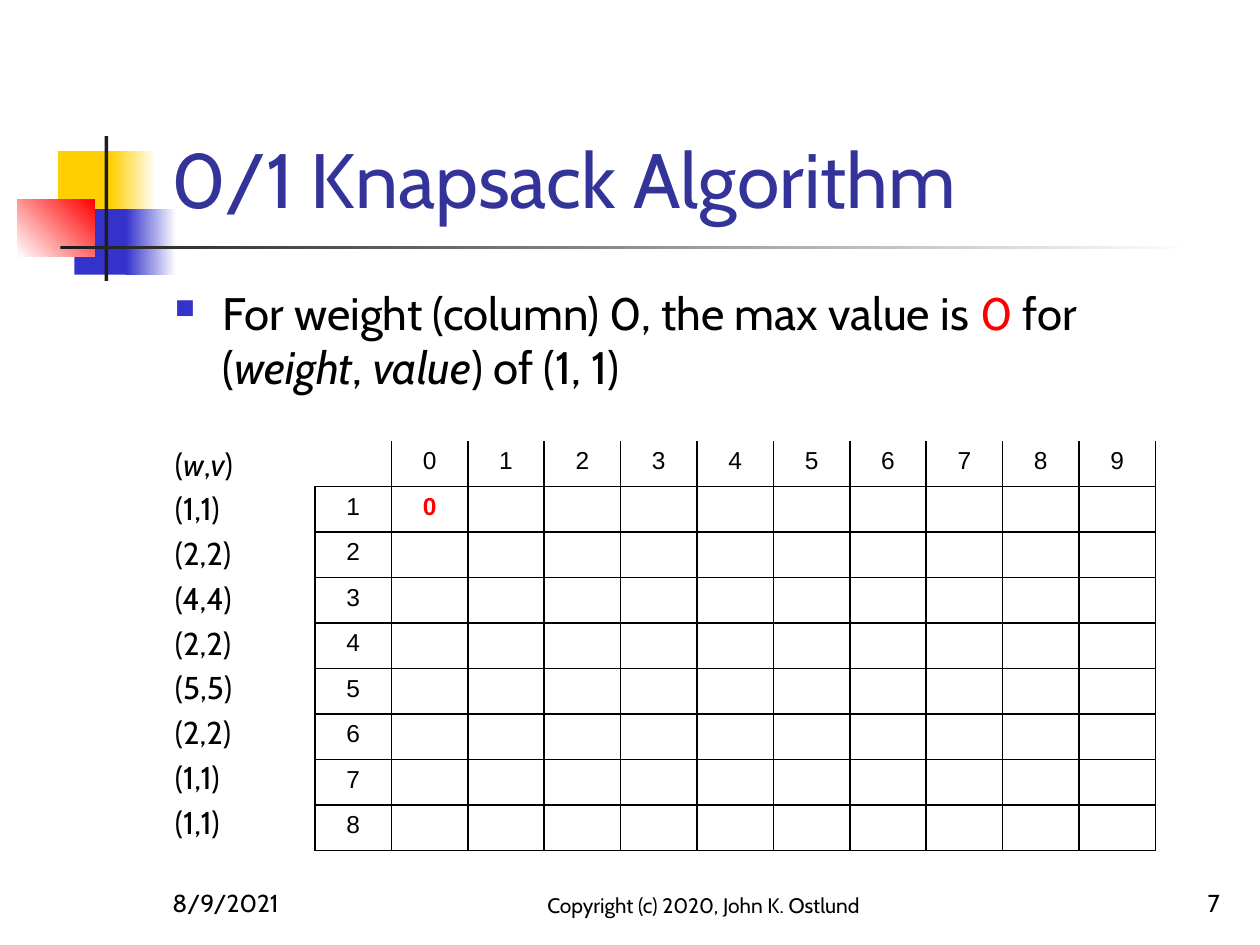
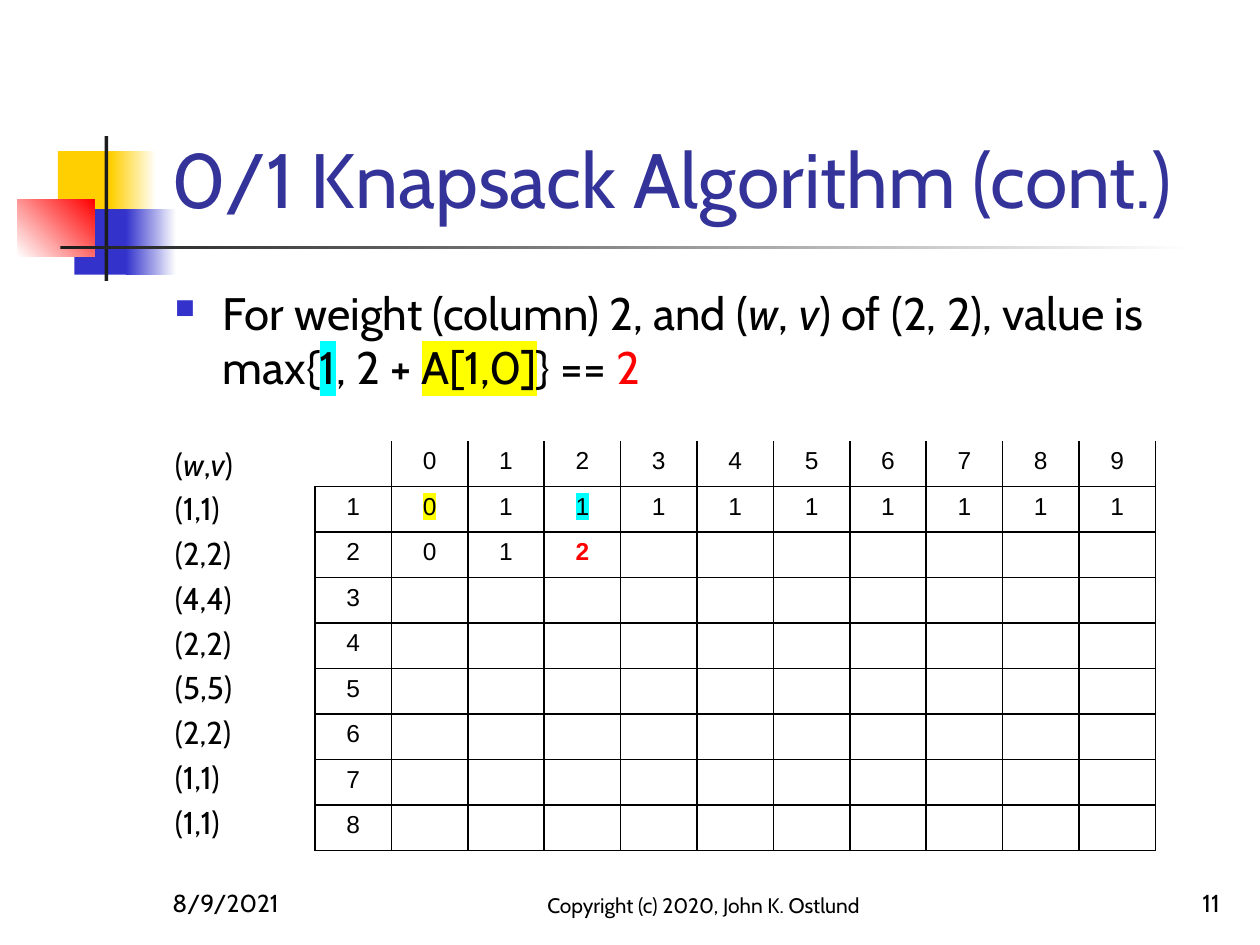
from dataclasses import dataclass

import lxml.etree
import pptx
import pptx.dml.color
import pptx.dml.fill
import pptx.enum.shapes
import pptx.enum.text
import pptx.oxml.ns
import pptx.shapes.autoshape
import pptx.slide
import pptx.table
import pptx.text.text
import pptx.util

SLIDE_WIDTH = pptx.util.Inches(10)
SLIDE_HEIGHT = pptx.util.Inches(7.5)
ALIGN = pptx.enum.text.PP_ALIGN
ANCHOR = pptx.enum.text.MSO_ANCHOR


@dataclass(frozen=True)
class Theme:
    text_font: str = "Cabin"
    table_font: str = "Arial"
    title_size: int = 44
    statement_size: int = 26
    item_size: int = 18
    small_size: int = 14
    copyright_size: int = 12
    title: str = "333399"
    ink: str = "000000"
    paper: str = "FFFFFF"
    rule: str = "1C1C1C"
    yellow: str = "FFCF01"
    blue: str = "3333CC"
    red: str = "FF0000"
    mark_yellow: str = "FFFF00"
    mark_cyan: str = "00FFFF"


THEME = Theme()


@dataclass(frozen=True)
class Area:
    """Left, top, width and height in percent of the slide."""
    left: float
    top: float
    width: float
    height: float

    def emu(self) -> tuple[int, int, int, int]:
        return (round(SLIDE_WIDTH * self.left / 100), round(SLIDE_HEIGHT * self.top / 100),
                round(SLIDE_WIDTH * self.width / 100), round(SLIDE_HEIGHT * self.height / 100))


@dataclass(frozen=True)
class Block:
    area: Area
    start: str
    end: str | None = None
    angle: int = 0


@dataclass(frozen=True)
class Span:
    text: str
    italic: bool = False
    bold: bool = False
    color: str | None = None
    mark: str | None = None


@dataclass(frozen=True)
class Footer:
    area: Area
    size: int
    align: ALIGN


@dataclass(frozen=True)
class Step:
    title: str
    number: str
    statement: list[Span]
    values: list[list[Span]]


ORNAMENT = [
    Block(Area(4.6, 16, 4.8, 6.93), THEME.yellow),
    Block(Area(8.8, 16, 3.6, 6.93), THEME.yellow, THEME.paper),
    Block(Area(5.9, 22.13, 4.6, 6.93), THEME.blue),
    Block(Area(10, 22.13, 4, 6.93), THEME.blue, THEME.paper),
    Block(Area(1.4, 21.07, 6.1, 6.13), THEME.paper, THEME.red, 45),
    Block(Area(8.3, 14.4, 0.3, 15.33), THEME.rule),
    Block(Area(4.8, 26, 90, 0.4), THEME.rule, THEME.paper),
]
TITLE_AREA = Area(12.6, 3.07, 85.2, 21.33)
BODY_AREA = Area(12.9, 29.47, 85, 60)
TABLE_AREA = Area(25, 46.67, 66.7, 43.33)
DATE = Footer(Area(12.7, 91.07, 20.8, 6.67), THEME.small_size, ALIGN.LEFT)
COPYRIGHT = Footer(Area(40, 91.07, 31.7, 6.67), THEME.copyright_size, ALIGN.CENTER)
NUMBER = Footer(Area(77, 91.07, 20.8, 6.67), THEME.small_size, ALIGN.RIGHT)

ITEMS = [(1, 1), (2, 2), (4, 4), (2, 2), (5, 5), (2, 2), (1, 1), (1, 1)]
CAPACITIES = range(10)
ITEM_HEADING = [Span("("), Span("w", italic=True), Span(","), Span("v", italic=True), Span(")")]

STEPS = [
    Step(
        "0/1 Knapsack Algorithm", "7",
        [Span("For weight (column) 0, the max value is "), Span("0", color=THEME.red),
         Span(" for ("), Span("weight", italic=True), Span(", "),
         Span("value", italic=True), Span(") of (1, 1)")],
        [[Span("0", bold=True, color=THEME.red)]],
    ),
    Step(
        "0/1 Knapsack Algorithm (cont.)", "11",
        [Span("For weight (column) 2, and ("), Span("w", italic=True), Span(", "),
         Span("v", italic=True), Span(") of (2, 2), value is max{"),
         Span("1", mark=THEME.mark_cyan), Span(", 2 + "),
         Span("A[1,0]", mark=THEME.mark_yellow), Span("} == "), Span("2", color=THEME.red)],
        [[Span("0", mark=THEME.mark_yellow), Span("1"), Span("1", mark=THEME.mark_cyan)]
         + [Span("1")] * 7,
         [Span("0"), Span("1"), Span("2", bold=True, color=THEME.red)]],
    ),
]


def rgb(color: str) -> pptx.dml.color.RGBColor:
    return pptx.dml.color.RGBColor.from_string(color)


def add_xml(parent: lxml.etree._Element, tag: str, **attributes: str) -> lxml.etree._Element:
    return lxml.etree.SubElement(parent, pptx.oxml.ns.qn(tag), attributes)


def write(paragraph: pptx.text.text._Paragraph, spans: list[Span], size: int,
          font: str = THEME.text_font, color: str = THEME.ink) -> None:
    paragraph.font.name = font
    paragraph.font.size = pptx.util.Pt(size)
    paragraph.font.color.rgb = rgb(color)
    for span in spans:
        run = paragraph.add_run()
        run.text = span.text
        if span.italic:
            run.font.italic = True
        if span.bold:
            run.font.bold = True
        if span.color:
            run.font.color.rgb = rgb(span.color)
        if span.mark:
            highlight = add_xml(run._r.get_or_add_rPr(), "a:highlight")
            add_xml(highlight, "a:srgbClr", val=span.mark)


def add_frame(slide: pptx.slide.Slide, area: Area,
              anchor: ANCHOR = ANCHOR.TOP) -> pptx.text.text.TextFrame:
    frame = slide.shapes.add_textbox(*area.emu()).text_frame
    frame.word_wrap = True
    frame.vertical_anchor = anchor
    return frame


def draw_block(slide: pptx.slide.Slide, block: Block) -> None:
    shape = slide.shapes.add_shape(pptx.enum.shapes.MSO_SHAPE.RECTANGLE, *block.area.emu())
    shape.shadow.inherit = False
    shape.line.fill.background()
    if block.end is None:
        shape.fill.solid()
        shape.fill.fore_color.rgb = rgb(block.start)
        return
    shape.fill.gradient()
    shape.fill.gradient_angle = block.angle
    for stop, color, position in zip(shape.fill.gradient_stops, (block.start, block.end), (0, 1)):
        stop.color.rgb = rgb(color)
        stop.position = position


def draw_footer(slide: pptx.slide.Slide, footer: Footer, text: str) -> None:
    paragraph = add_frame(slide, footer.area, ANCHOR.BOTTOM).paragraphs[0]
    paragraph.alignment = footer.align
    write(paragraph, [Span(text)], footer.size)


def draw_body(slide: pptx.slide.Slide, statement: list[Span]) -> None:
    frame = add_frame(slide, BODY_AREA)
    lead = frame.paragraphs[0]
    hanging = pptx.util.Inches(0.38)
    properties = lead._p.get_or_add_pPr()
    properties.set("marL", str(hanging))
    properties.set("indent", str(-hanging))
    add_xml(add_xml(properties, "a:buClr"), "a:srgbClr", val=THEME.blue)
    add_xml(properties, "a:buSzPct", val="60000")
    add_xml(properties, "a:buChar", char="■")
    write(lead, statement, THEME.statement_size)

    item_lines = [ITEM_HEADING] + [[Span(f"({weight},{value})")] for weight, value in ITEMS]
    for index, spans in enumerate(item_lines):
        paragraph = frame.add_paragraph()
        paragraph.space_before = pptx.util.Pt(0 if index else 29)
        paragraph.space_after = pptx.util.Pt(4)
        write(paragraph, spans, THEME.item_size)


def set_borders(cell: pptx.table._Cell, row: int, column: int) -> None:
    shown = {"a:lnL": row > 0 or column > 0, "a:lnR": True, "a:lnT": row > 0, "a:lnB": True}
    properties = cell._tc.get_or_add_tcPr()
    for tag, visible in shown.items():
        border = add_xml(properties, tag, w=str(pptx.util.Pt(1)))
        if visible:
            add_xml(add_xml(border, "a:solidFill"), "a:srgbClr", val=THEME.ink)
        else:
            add_xml(border, "a:noFill")


def draw_value_table(slide: pptx.slide.Slide, values: list[list[Span]]) -> None:
    row_count, column_count = len(ITEMS) + 1, len(CAPACITIES) + 1
    table = slide.shapes.add_table(row_count, column_count, *TABLE_AREA.emu()).table
    table.first_row = table.horz_banding = False
    header = [None] + [Span(str(capacity)) for capacity in CAPACITIES]
    rows = [header] + [[Span(str(item))] for item in range(1, row_count)]
    for row, solved in zip(rows[1:], values):
        row.extend(solved)
    for row_index, row in enumerate(rows):
        for column_index in range(column_count):
            cell = table.cell(row_index, column_index)
            set_borders(cell, row_index, column_index)
            cell.fill.background()
            paragraph = cell.text_frame.paragraphs[0]
            paragraph.alignment = ALIGN.CENTER
            entry = row[column_index] if column_index < len(row) else None
            write(paragraph, [entry] if entry else [], THEME.small_size, THEME.table_font)
            if entry is None:
                add_xml(paragraph._p, "a:endParaRPr", sz=str(THEME.small_size * 100))


def draw_step(presentation: pptx.presentation.Presentation, step: Step) -> None:
    slide = presentation.slides.add_slide(presentation.slide_layouts[6])
    slide.background.fill.solid()
    slide.background.fill.fore_color.rgb = rgb(THEME.paper)
    for block in ORNAMENT:
        draw_block(slide, block)
    title = add_frame(slide, TITLE_AREA, ANCHOR.BOTTOM).paragraphs[0]
    write(title, [Span(step.title)], THEME.title_size, color=THEME.title)
    draw_body(slide, step.statement)
    draw_footer(slide, DATE, "8/9/2021")
    draw_footer(slide, COPYRIGHT, "Copyright (c) 2020, John K. Ostlund")
    draw_footer(slide, NUMBER, step.number)
    draw_value_table(slide, step.values)


def main() -> None:
    presentation = pptx.Presentation()
    presentation.slide_width = SLIDE_WIDTH
    presentation.slide_height = SLIDE_HEIGHT
    for step in STEPS:
        draw_step(presentation, step)
    presentation.save("out.pptx")


if __name__ == "__main__":
    main()
